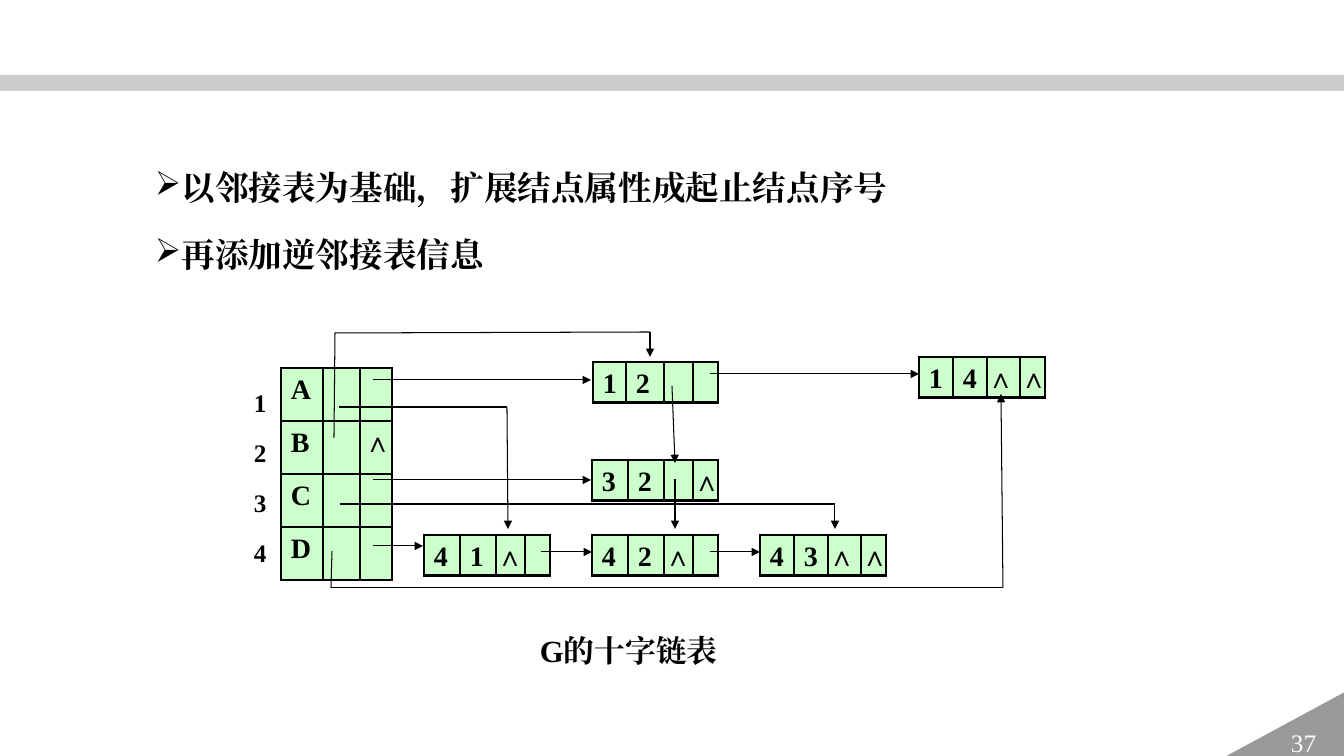
import pptx
import pptx.dml.color
import pptx.enum.shapes
import pptx.enum.text
import pptx.oxml
import pptx.oxml.ns
import pptx.util

PX = 9071
FACE = "Times New Roman"
NS = pptx.oxml.ns.nsdecls("a")
SHAPE = pptx.enum.shapes.MSO_SHAPE


def colour(value):
    return pptx.dml.color.RGBColor.from_string(value)


def write(paragraph, text, size, shade="000000", bold=True):
    paragraph.line_spacing = 1.2
    run = paragraph.add_run()
    run.text = text
    formats = {"size": pptx.util.Pt(size), "name": FACE, "bold": bold}
    for key, value in formats.items():
        setattr(run.font, key, value)
    run.font.color.rgb = colour(shade)
    run.font._element.append(pptx.oxml.parse_xml(f'<a:ea {NS} typeface="{FACE}"/>'))


deck = pptx.Presentation()
deck.slide_width = 1344 * PX
deck.slide_height = 756 * PX
slide = deck.slides.add_slide(deck.slide_layouts[6])
shapes = slide.shapes

band = shapes.add_shape(SHAPE.RECTANGLE, 0, 75 * PX, 1344 * PX, 16 * PX)
corner = shapes.add_shape(SHAPE.RIGHT_TRIANGLE, 1221 * PX, 692 * PX, 124 * PX, 67 * PX)
for decoration, shade in ((band, "A6A6A6"), (corner, "999999")):
    decoration.shadow.inherit = False
    decoration.fill.solid()
    decoration.fill.fore_color.rgb = colour(shade)
    decoration.line.fill.background()
band.fill._xPr.find(".//" + pptx.oxml.ns.qn("a:srgbClr")).append(
    pptx.oxml.parse_xml(f'<a:alpha {NS} val="56000"/>'))
corner._element.spPr.xfrm.set("flipH", "1")
corner.text_frame.vertical_anchor = pptx.enum.text.MSO_ANCHOR.MIDDLE
page_number = corner.text_frame.paragraphs[0]
page_number.alignment = pptx.enum.text.PP_ALIGN.CENTER
write(page_number, "37", 18, "FFFFFF", False)
page_number.line_spacing = 1.0

texts = [
    (244, 376, 32, 205, 18, None, ["1", "2", "3", "4"]),
    (530, 619, 409, 51, 22, None, ["G的十字链表"]),
    (145, 154, 969, 125, 24, "➢",
     ["以邻接表为基础，扩展结点属性成起止结点序号", "再添加逆邻接表信息"]),
]
for left, top, width, height, size, bullet, lines in texts:
    frame = shapes.add_textbox(left * PX, top * PX, width * PX, height * PX).text_frame
    frame.word_wrap = True
    for index, line in enumerate(lines):
        paragraph = frame.add_paragraph() if index else frame.paragraphs[0]
        gap = pptx.util.Pt(round(size * 0.28, 1))
        paragraph.space_after = gap
        if index:
            paragraph.space_before = gap
        paragraph.line_spacing = 1.2
        if bullet:
            properties = paragraph._p.get_or_add_pPr()
            properties.set("marL", "0")
            properties.set("indent", "0")
            for xml in (f'<a:buClr {NS}><a:srgbClr val="000000"/></a:buClr>',
                        f'<a:buChar {NS} char="{bullet}"/>'):
                properties.append(pptx.oxml.parse_xml(xml))
        write(paragraph, line, size)

vertex_columns = (42, 37, 32)
node_columns = (36, 36, 29, 25)
end_columns = (34, 34, 33, 25)
lists = [
    (281, 368, 53, 4, vertex_columns, [("A", "", ""), ("B", "", "∧"), ("C", "", ""), ("D", "", "")]),
    (592, 460, 40, 0, node_columns, [("3", "2", "", "∧")]),
    (593, 362, 40, 0, (33, 38, 29, 25), [("1", "2", "", "")]),
    (592, 535, 40, 0, node_columns, [("4", "2", "∧", "")]),
    (760, 535, 40, 0, end_columns, [("4", "3", "∧", "∧")]),
    (424, 535, 40, 0, node_columns, [("4", "1", "∧", "")]),
    (919, 357, 40, 0, end_columns, [("1", "4", "∧", "∧")]),
]
for left, top, row_height, mark_inset, columns, rows in lists:
    table = shapes.add_table(len(rows), len(columns), left * PX, top * PX,
                             sum(columns) * PX, row_height * len(rows) * PX).table
    table.first_row = False
    table.horz_banding = False
    for column, width in zip(table.columns, columns):
        column.width = width * PX
    for r, row in enumerate(rows):
        table.rows[r].height = row_height * PX
        for c, text in enumerate(row):
            cell = table.cell(r, c)
            side = (mark_inset if text in ("∧", "") else 10) * PX
            margins = {"margin_left": side, "margin_right": side, "margin_top": 0, "margin_bottom": 0}
            for key, value in margins.items():
                setattr(cell, key, value)
            edges = {"lnL": c == 0, "lnR": c == len(columns) - 1,
                     "lnT": r == 0, "lnB": r == len(rows) - 1}
            for edge, outer in edges.items():
                cell._tc.get_or_add_tcPr().append(pptx.oxml.parse_xml(
                    f'<a:{edge} {NS} w="{28575 if outer else 12700}"><a:solidFill>'
                    f'<a:srgbClr val="000000"/></a:solidFill></a:{edge}>'))
            cell.fill.solid()
            cell.fill.fore_color.rgb = colour("CCFFCC")
            if text:
                write(cell.text_frame.paragraphs[0], text, 20)

links = [
    [(373, 380), (591, 380)],
    [(710, 374), (919, 374)],
    [(373, 546), (423, 546)],
    [(373, 480), (591, 480)],
    [(541, 552), (592, 552)],
    [(710, 552), (760, 552)],
    [(675, 479), (675, 529)],
    [(672, 386), (675, 463)],
    [(339, 407), (507, 407), (508, 529)],
    [(334, 438), (335, 333), (650, 332), (650, 357)],
    [(340, 504), (835, 504), (835, 529)],
    [(332, 551), (331, 588), (1003, 588), (1001, 394)],
]
for points in links:
    for start, end in zip(points, points[1:]):
        link = shapes.add_connector(pptx.enum.shapes.MSO_CONNECTOR.STRAIGHT,
                                    start[0] * PX, start[1] * PX, end[0] * PX, end[1] * PX)
        link.line.color.rgb = colour("000000")
        link.line.width = pptx.util.Pt(0.75)
        if end == points[-1]:
            link.line._get_or_add_ln().append(pptx.oxml.parse_xml(f'<a:tailEnd {NS} type="triangle"/>'))
        link._element.spPr.append(pptx.oxml.parse_xml(f"<a:effectLst {NS}/>"))

deck.save("out.pptx")
